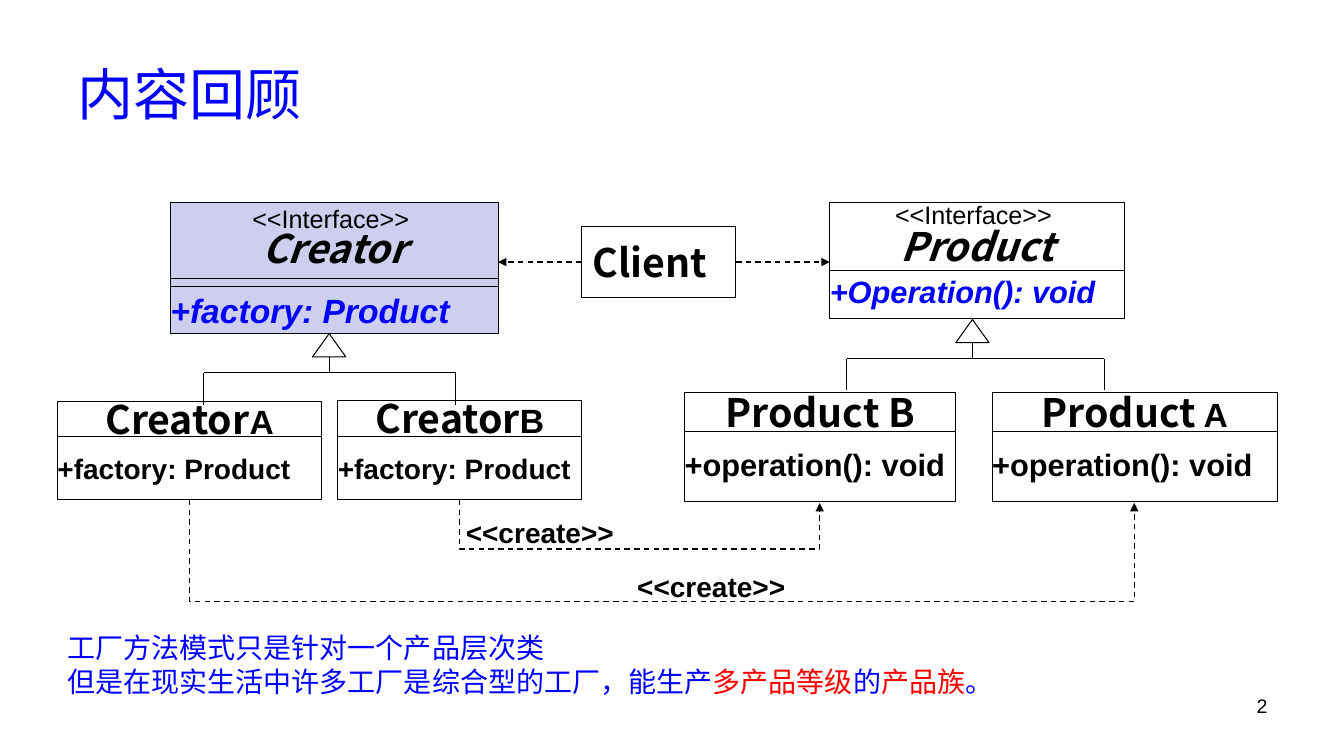
from lxml import etree
from pptx import Presentation
from pptx.dml.color import RGBColor
from pptx.enum.dml import MSO_LINE
from pptx.enum.shapes import MSO_CONNECTOR, MSO_SHAPE
from pptx.enum.text import MSO_ANCHOR, PP_ALIGN
from pptx.oxml.ns import qn
from pptx.util import Pt

PX = 9144
ARIAL, CJK = "Arial", "Noto Sans CJK SC"
BLACK, WHITE, BLUE, RED, LILAC = "000000", "FFFFFF", "0000FF", "FF0000", "CECEEF"
RECT, TRIANGLE = MSO_SHAPE.RECTANGLE, MSO_SHAPE.ISOSCELES_TRIANGLE
STRAIGHT, ELBOW = MSO_CONNECTOR.STRAIGHT, MSO_CONNECTOR.ELBOW
LEFT, CENTER, RIGHT = PP_ALIGN.LEFT, PP_ALIGN.CENTER, PP_ALIGN.RIGHT
TOP, MIDDLE = MSO_ANCHOR.TOP, MSO_ANCHOR.MIDDLE
DASH = MSO_LINE.DASH
rgb = RGBColor.from_string


def write(p, text, size, font=ARIAL, color=BLACK, bold=False, italic=False):
    r = p.add_run()
    r.text = text
    r.font.size = Pt(size)
    r.font.bold, r.font.italic = bold, italic
    r.font.color.rgb = rgb(color)
    r.font.name = font
    etree.SubElement(r.font._element, qn("a:ea"), typeface=font)


def connect(x1, y1, x2, y2, kind=STRAIGHT, arrow=False):
    cx = s.shapes.add_connector(kind, x1 * PX, y1 * PX, x2 * PX, y2 * PX)
    cx.line.color.rgb = rgb(BLACK)
    cx.line.width = Pt(1 if arrow else 0.75)
    if arrow:
        cx.line.dash_style = DASH
        etree.SubElement(cx.line._get_or_add_ln(), qn("a:tailEnd"), type="triangle")
    etree.SubElement(cx._element.spPr, qn("a:effectLst"))
    return cx


prs = Presentation()
prs.slide_width, prs.slide_height = 1333 * PX, 750 * PX
s = prs.slides.add_slide(prs.slide_layouts[5])

title = s.shapes.title
title.left, title.top, title.width, title.height = 67 * PX, 30 * PX, 1200 * PX, 125 * PX
title.text_frame.vertical_anchor = MIDDLE
p = title.text_frame.paragraphs[0]
p.alignment = LEFT
write(p, "内容回顾", 40, CJK, BLUE)

name = {"size": 28, "font": CJK, "bold": True}
abstract = {**name, "italic": True}
letter = {"size": 24, "bold": True}
stereotype = [("<<Interface>> ", {"size": 18})]
factory = [[("+factory: Product", {"size": 20, "bold": True})]]
operation = [[("+operation(): void", {"size": 22, "bold": True})]]
classes = [
    (169, 201, 325, 75, 8, 47, LILAC, 0.8, 1,
     [stereotype, [("Creator", abstract)]],
     [[("+factory: Product", {"size": 24, "color": BLUE, "bold": True, "italic": True})]]),
    (823, 201, 292, 67, 0, 48, WHITE, 0.85, 0.85,
     [stereotype, [("Product", abstract)]],
     [[("+Operation(): void", {"size": 22, "color": BLUE, "bold": True, "italic": True})]]),
    (57, 398, 262, 35, 0, 63, WHITE, 1, 1, [[("Creator", name), ("A", letter)]], factory),
    (335, 397, 242, 36, 0, 63, WHITE, 1, 1, [[("Creator", name), ("B", letter)]], factory),
    (679, 389, 269, 39, 0, 70, WHITE, 1, 0.85, [[("Product B", name)]], operation),
    (984, 389, 283, 39, 0, 70, WHITE, 1, 0.85, [[("Product", name), (" A", letter)]], operation),
]
boxes = []
for x, y, w, head, gap, body, fill, head_ls, body_ls, title_lines, members in classes:
    boxes.append((x, y, w, head, fill, True, CENTER, MIDDLE, head_ls, title_lines))
    if gap:
        boxes.append((x, y + head, w, gap, fill, True, LEFT, MIDDLE, 1, []))
    boxes.append((x, y + head + gap, w, body, fill, True, LEFT, MIDDLE, body_ls, members))
create = [[("<<create>>", {"size": 20, "bold": True})]]
boxes += [
    (632, 565, 183, 33, WHITE, False, LEFT, TOP, 1, create),
    (462, 511, 156, 33, WHITE, False, LEFT, TOP, 1, create),
    (577, 225, 153, 70, WHITE, True, CENTER, MIDDLE, 1, [[("Client", name)]]),
]
for x, y, w, h, fill, outlined, align, anchor, spacing, lines in boxes:
    sp = s.shapes.add_shape(RECT, x * PX, y * PX, w * PX, h * PX)
    sp.shadow.inherit = False
    sp.fill.solid()
    sp.fill.fore_color.rgb = rgb(fill)
    if outlined:
        sp.line.color.rgb = rgb(BLACK)
        sp.line.width = Pt(0.75)
    else:
        sp.line.fill.background()
    tf = sp.text_frame
    tf.margin_left = tf.margin_right = tf.margin_top = tf.margin_bottom = 0
    tf.word_wrap = False
    tf.vertical_anchor = anchor
    for i, runs in enumerate(lines):
        p = tf.add_paragraph() if i else tf.paragraphs[0]
        p.alignment = align
        p.line_spacing = spacing
        for text, style in runs:
            write(p, text, **style)
client = sp
client.text_frame.margin_right = 18 * PX

for apex_x, apex_y, left, right, bottom in [(327, 331, 202, 452, 402), (965, 317, 840, 1095, 387)]:
    bar = apex_y + 39
    connect(left, bar, right, bar)
    connect(left, bar, left, bottom)
    connect(right, bar, right, bottom)
    connect(apex_x, apex_y + 23, apex_x, bar)
    sp = s.shapes.add_shape(TRIANGLE, (apex_x - 17) * PX, apex_y * PX, 33 * PX, 23 * PX)
    sp.shadow.inherit = False
    sp.fill.solid()
    sp.fill.fore_color.rgb = rgb(WHITE)
    sp.line.color.rgb = rgb(BLACK)
    sp.line.width = Pt(0.75)

for start, end, side in [(577, 494, 1), (730, 823, 3)]:
    connect(start, 260, end, 260, arrow=True).begin_connect(client, side)

START_Y, RISE = 496, 3
for start, end, low in [(188, 1125, 597), (456, 813, 545)]:
    span = end - start
    x = (start + end - RISE) // 2
    y = (2 * START_Y + RISE - span) // 2
    cx = connect(x + RISE, y, x, y + span, ELBOW, arrow=True)
    cx._element.spPr.find(qn("a:xfrm")).set("rot", "16200000")
    guides = cx._element.spPr.find(qn("a:prstGeom")).find(qn("a:avLst"))
    bend = round((low - START_Y) / RISE * 100000)
    etree.SubElement(guides, qn("a:gd"), name="adj1", fmla=f"val {bend}")

notes = [
    [("工厂方法模式只是针对一个产品层次类", BLUE)],
    [("但是在现实生活中许多工厂是综合型的工厂，能生产", BLUE), ("多产品等级", RED),
     ("的", BLUE), ("产品族", RED), ("。", BLUE)],
]
captions = [
    (57, 621, 1210, 77, LEFT, 20, CJK, notes),
    (956, 683, 311, 52, RIGHT, 14, ARIAL, [[("2", BLACK)]]),
]
for x, y, w, h, align, size, font, lines in captions:
    tf = s.shapes.add_textbox(x * PX, y * PX, w * PX, h * PX).text_frame
    tf.word_wrap = True
    for i, runs in enumerate(lines):
        p = tf.add_paragraph() if i else tf.paragraphs[0]
        p.alignment = align
        for text, color in runs:
            write(p, text, size, font, color)

prs.save("out.pptx")
